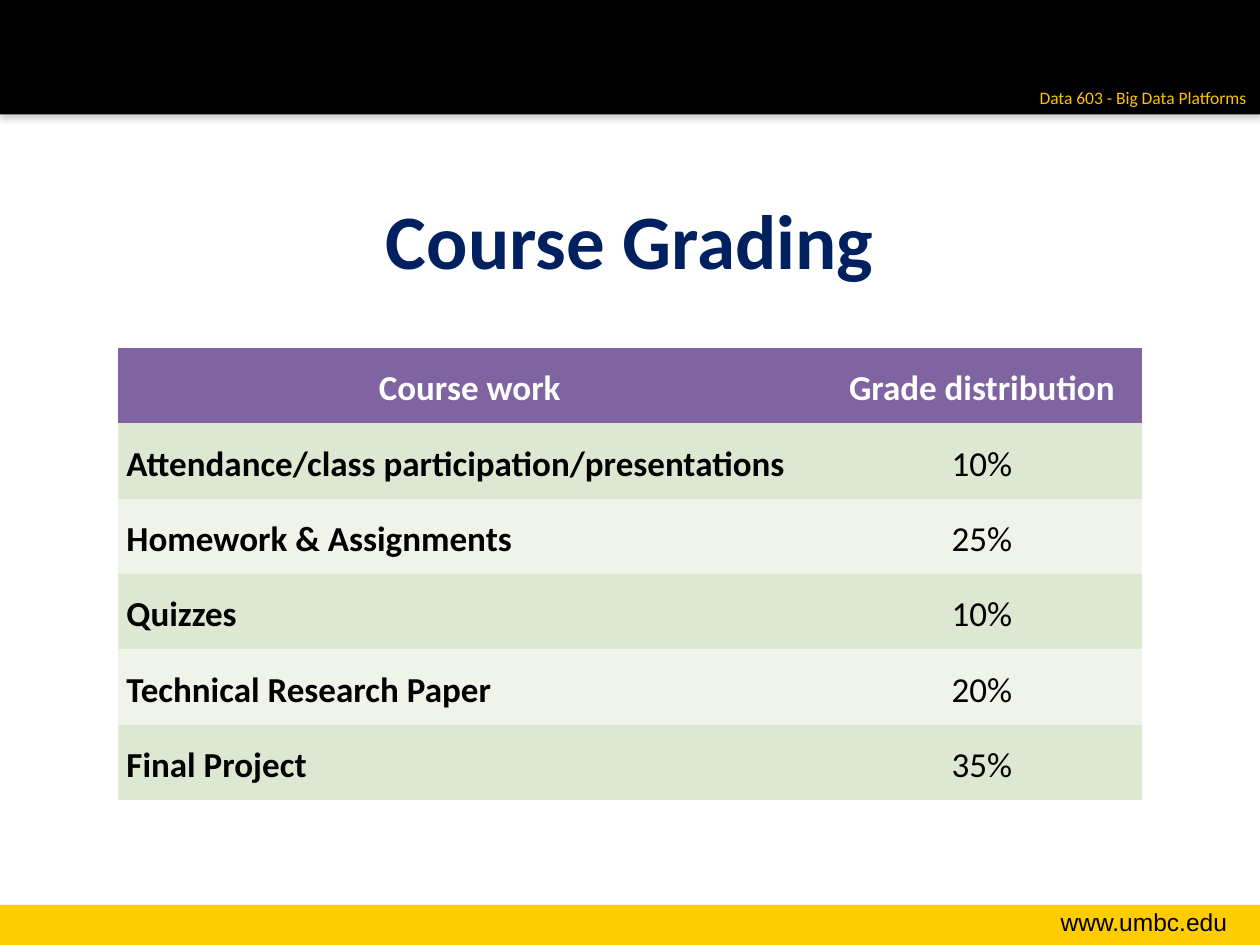
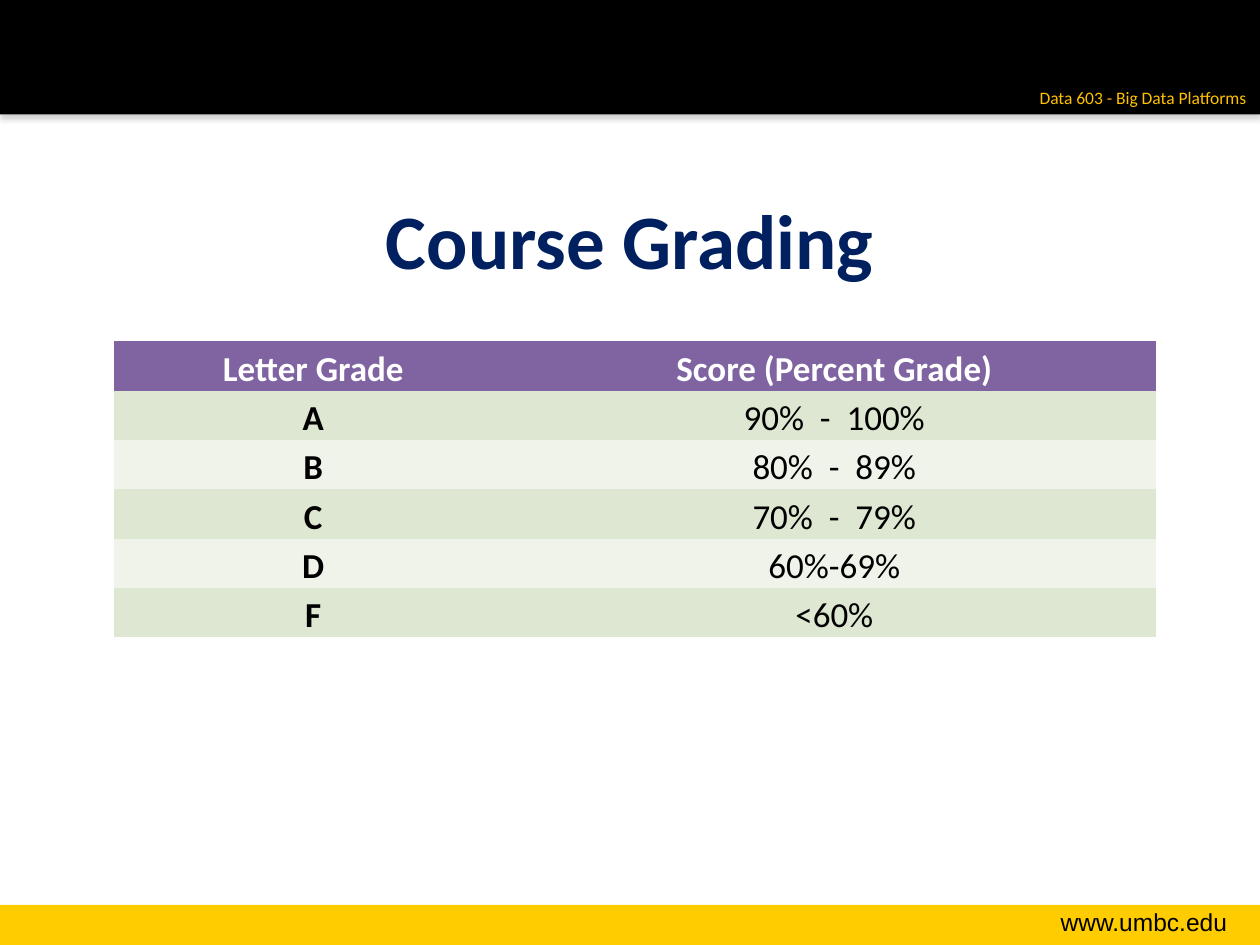
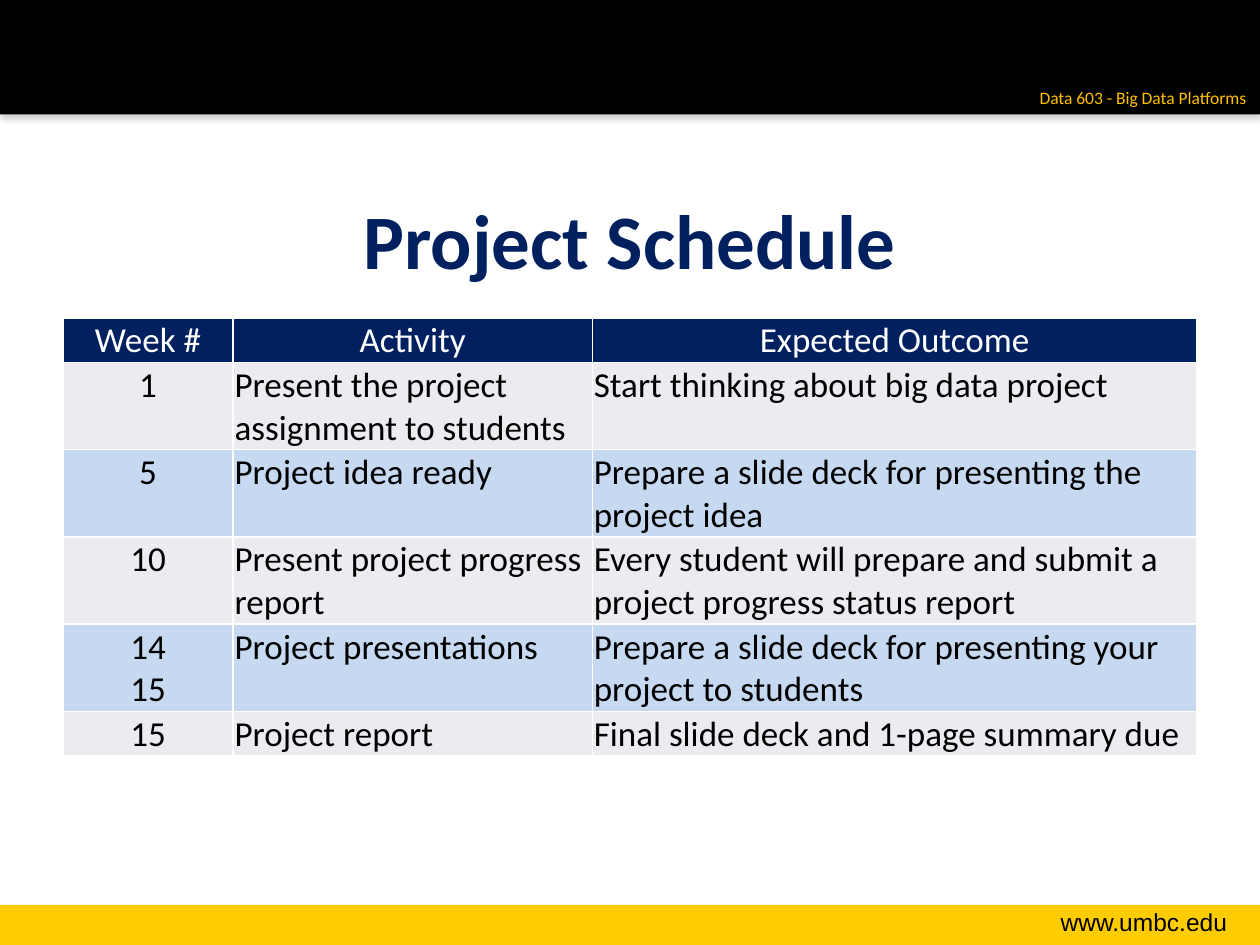
from dataclasses import dataclass
from typing import Any

import lxml.etree
import pptx
import pptx.dml.color
import pptx.enum.shapes
import pptx.enum.text
import pptx.oxml
import pptx.oxml.ns
import pptx.slide
import pptx.util
from pptx.util import Cm

ALIGN = pptx.enum.text.PP_ALIGN
ANCHOR = pptx.enum.text.MSO_ANCHOR
LEFT, CENTER, RIGHT = ALIGN.LEFT, ALIGN.CENTER, ALIGN.RIGHT

BLACK, WHITE, NAVY = "000000", "FFFFFF", "002060"
GOLD, AMBER, PURPLE = "FFCC00", "FFC000", "8064A2"
GREENS = ("DEE7D1", "EFF3EA")
SCHEDULE_FILLS = ("EDEAF0", "C6D9F1")

TITLE_BOX = (1.27, 3.23, 22.86, 3.18)
TITLE_FORMAT = {"name": "Calibri", "size": pptx.util.Pt(44), "bold": True}
CELL_FORMAT = {"name": "Calibri", "size": pptx.util.Pt(20)}


@dataclass(frozen=True)
class Band:
    top: float
    height: float
    fill: str
    shadow: bool = False


@dataclass(frozen=True)
class Label:
    text: str
    box: tuple[float, float, float, float]
    font: str
    size: int
    hex_color: str
    wrap: bool


@dataclass(frozen=True)
class TableStyle:
    header_fill: str
    body_fills: tuple[str, str]
    margins: tuple[float, float, float, float]
    line_spacing: float
    header_anchor: Any
    body_anchor: Any
    bold_labels: bool
    border: str | None = None


@dataclass(frozen=True)
class TableSlide:
    title: str
    style: TableStyle
    left: float
    top: float
    column_widths: tuple[float, ...]
    row_heights: tuple[float, ...]
    alignments: tuple[Any, ...]
    rows: tuple[tuple[str, ...], ...]


BANDS = (Band(18.24, 0.81, GOLD), Band(0, 2.31, BLACK, shadow=True))
LABELS = (
    Label("www.umbc.edu", (19.94, 18.16, 5.05, 0.86), "Arial", 14, BLACK, True),
    Label("Data 603 - Big Data Platforms", (20.62, 1.63, 4.75, 0.69), "Calibri", 10, AMBER, False),
)

GRADE_MARGINS = (0.18, 0, 0.18, 0)
COURSE_WORK = TableStyle(PURPLE, GREENS, GRADE_MARGINS, 1.15, ANCHOR.MIDDLE, ANCHOR.MIDDLE, True)
LETTER_GRADES = TableStyle(PURPLE, GREENS, GRADE_MARGINS, 1.15, ANCHOR.TOP, ANCHOR.TOP, True)
SCHEDULE = TableStyle(
    NAVY, SCHEDULE_FILLS, (0.03, 0.03, 0.03, 0), 1.0, ANCHOR.BOTTOM, ANCHOR.TOP, False, WHITE
)

SLIDES = (
    TableSlide(
        "Course Grading", COURSE_WORK, 2.37, 7.01, (14.2, 6.45), (1.52,) * 6, (LEFT, CENTER),
        (
            ("Course work", "Grade distribution"),
            ("Attendance/class participation/presentations", "10%"),
            ("Homework & Assignments", "25%"),
            ("Quizzes", "10%"),
            ("Technical Research Paper", "20%"),
            ("Final Project", "35%"),
        ),
    ),
    TableSlide(
        "Course Grading", LETTER_GRADES, 2.3, 6.88, (8.03, 12.98), (0.99,) * 6, (CENTER, CENTER),
        (
            ("Letter Grade", "Score (Percent Grade)"),
            ("A", "90%  -  100%"),
            ("B", "80%  -  89%"),
            ("C", "70%  -  79%"),
            ("D", "60%-69%"),
            ("F", "<60%"),
        ),
    ),
    TableSlide(
        "Project Schedule", SCHEDULE, 1.27, 6.41, (3.43, 7.24, 12.19),
        (0.87,) + (1.75,) * 4 + (0.87,), (CENTER, LEFT, LEFT),
        (
            ("Week #", "Activity", "Expected Outcome"),
            ("1", "Present the project assignment to students", "Start thinking about big data project"),
            ("5", "Project idea ready", "Prepare a slide deck for presenting the project idea"),
            (
                "10",
                "Present project progress report",
                "Every student will prepare and submit a project progress status report",
            ),
            (
                "14\n15",
                "Project presentations",
                "Prepare a slide deck for presenting your project to students",
            ),
            ("15", "Project report", "Final slide deck and 1-page summary due"),
        ),
    ),
)


def color(hex_color: str) -> pptx.dml.color.RGBColor:
    return pptx.dml.color.RGBColor.from_string(hex_color)


def set_attributes(target: Any, values: dict[str, Any]) -> None:
    for name, value in values.items():
        setattr(target, name, value)


def write_text(text_frame: Any, text: str, font: dict[str, Any], hex_color: str,
               paragraph_format: dict[str, Any]) -> None:
    paragraph = text_frame.paragraphs[0]
    paragraph.text = text
    set_attributes(paragraph, paragraph_format)
    for run in paragraph.runs:
        set_attributes(run.font, font)
        run.font.color.rgb = color(hex_color)


def add_shadow(shape: Any) -> None:
    shape.element.spPr.append(pptx.oxml.parse_xml(
        f'<a:effectLst {pptx.oxml.ns.nsdecls("a")}>'
        '<a:outerShdw blurRad="39370" dist="22860" dir="5400000" rotWithShape="0">'
        '<a:srgbClr val="808080"><a:alpha val="35000"/></a:srgbClr>'
        '</a:outerShdw></a:effectLst>'
    ))


def draw_band(slide: pptx.slide.Slide, band: Band, width: int) -> Any:
    shape = slide.shapes.add_shape(
        pptx.enum.shapes.MSO_SHAPE.RECTANGLE, 0, Cm(band.top), width, Cm(band.height)
    )
    shape.fill.solid()
    shape.fill.fore_color.rgb = color(band.fill)
    shape.line.fill.background()
    if band.shadow:
        add_shadow(shape)
    else:
        shape.shadow.inherit = False
    return shape


def draw_label(slide: pptx.slide.Slide, label: Label) -> Any:
    shape = slide.shapes.add_textbox(*map(Cm, label.box))
    shape.text_frame.word_wrap = label.wrap
    font = {"name": label.font, "size": pptx.util.Pt(label.size)}
    write_text(shape.text_frame, label.text, font, label.hex_color, {"alignment": RIGHT})
    return shape


def furnish_master(presentation: Any, slide: pptx.slide.Slide) -> None:
    shapes = [draw_band(slide, band, presentation.slide_width) for band in BANDS]
    shapes += [draw_label(slide, label) for label in LABELS]
    for shape_id, shape in enumerate(shapes, start=101):
        shape.element.nvSpPr.cNvPr.set("id", str(shape_id))
        presentation.slide_master.shapes.element.append(shape.element)


def draw_title(slide: pptx.slide.Slide, text: str) -> None:
    title = slide.shapes.title
    set_attributes(title, dict(zip(("left", "top", "width", "height"), map(Cm, TITLE_BOX))))
    title.text_frame.vertical_anchor = ANCHOR.MIDDLE
    write_text(title.text_frame, text, TITLE_FORMAT, NAVY, {"alignment": CENTER})


def set_borders(cell: Any, hex_color: str | None) -> None:
    properties = cell._tc.get_or_add_tcPr()
    qn = pptx.oxml.ns.qn
    for side in ("lnL", "lnR", "lnT", "lnB"):
        line = lxml.etree.SubElement(properties, qn(f"a:{side}"), w="12700" if hex_color else "0")
        if hex_color:
            fill = lxml.etree.SubElement(line, qn("a:solidFill"))
            lxml.etree.SubElement(fill, qn("a:srgbClr"), val=hex_color)
        else:
            lxml.etree.SubElement(line, qn("a:noFill"))


def draw_cell(cell: Any, content: TableSlide, row: int, column: int) -> None:
    style = content.style
    header = row == 0
    sides = ("margin_left", "margin_top", "margin_right", "margin_bottom")
    set_attributes(cell, dict(zip(sides, map(Cm, style.margins))))
    cell.vertical_anchor = style.header_anchor if header else style.body_anchor
    set_borders(cell, style.border)
    cell.fill.solid()
    cell.fill.fore_color.rgb = color(style.header_fill if header else style.body_fills[(row - 1) % 2])
    font = CELL_FORMAT | {"bold": style.bold_labels and (header or column == 0)}
    paragraph_format = {
        "alignment": CENTER if header else content.alignments[column],
        "line_spacing": style.line_spacing,
    }
    write_text(cell.text_frame, content.rows[row][column], font,
               WHITE if header else BLACK, paragraph_format)


def draw_table(slide: pptx.slide.Slide, content: TableSlide) -> None:
    table = slide.shapes.add_table(
        len(content.rows), len(content.column_widths), Cm(content.left), Cm(content.top),
        Cm(sum(content.column_widths)), Cm(sum(content.row_heights)),
    ).table
    for column, width in zip(table.columns, content.column_widths):
        column.width = Cm(width)
    for row, height in zip(table.rows, content.row_heights):
        row.height = Cm(height)
    for row in range(len(content.rows)):
        for column in range(len(content.column_widths)):
            draw_cell(table.cell(row, column), content, row, column)


def main() -> None:
    presentation = pptx.Presentation()
    presentation.slide_width, presentation.slide_height = Cm(25.4), Cm(19.05)
    title_only = presentation.slide_layouts.get_by_name("Title Only")
    for content in SLIDES:
        slide = presentation.slides.add_slide(title_only)
        draw_title(slide, content.title)
        draw_table(slide, content)
    furnish_master(presentation, presentation.slides[0])
    presentation.save("out.pptx")


if __name__ == "__main__":
    main()
